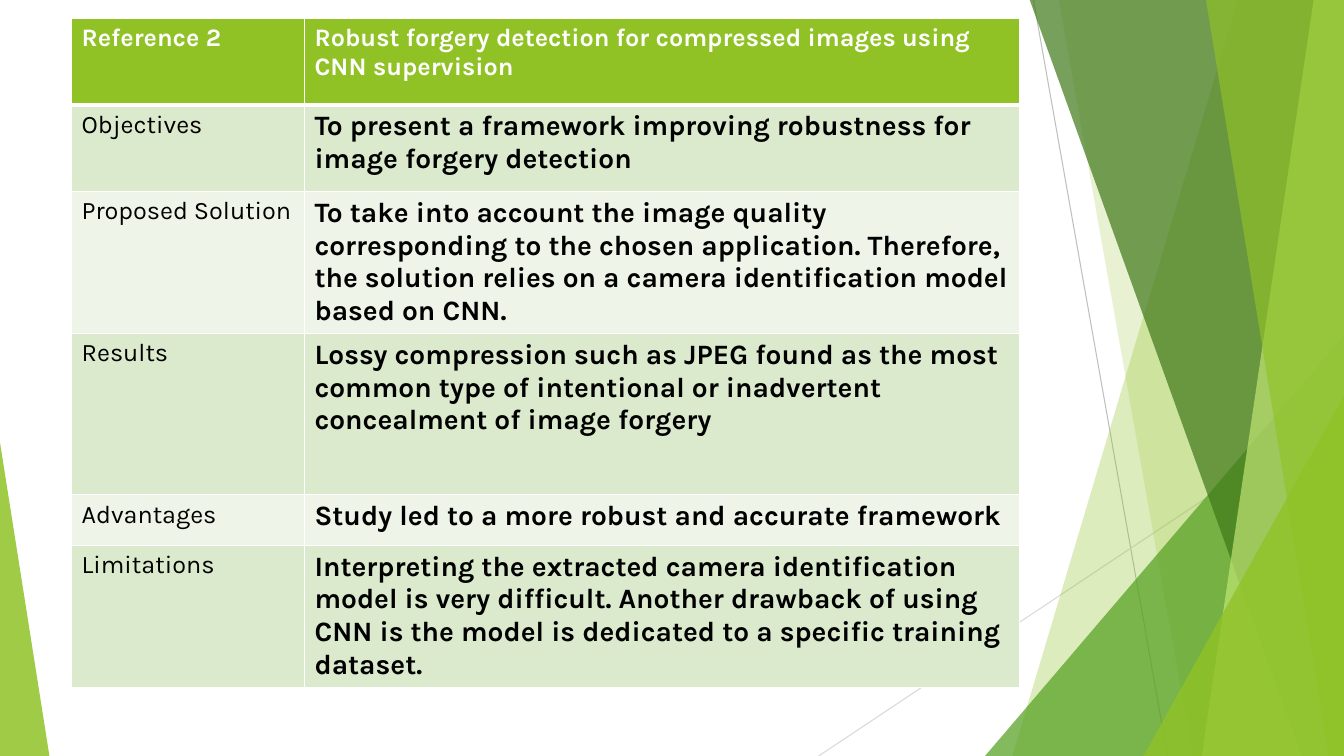
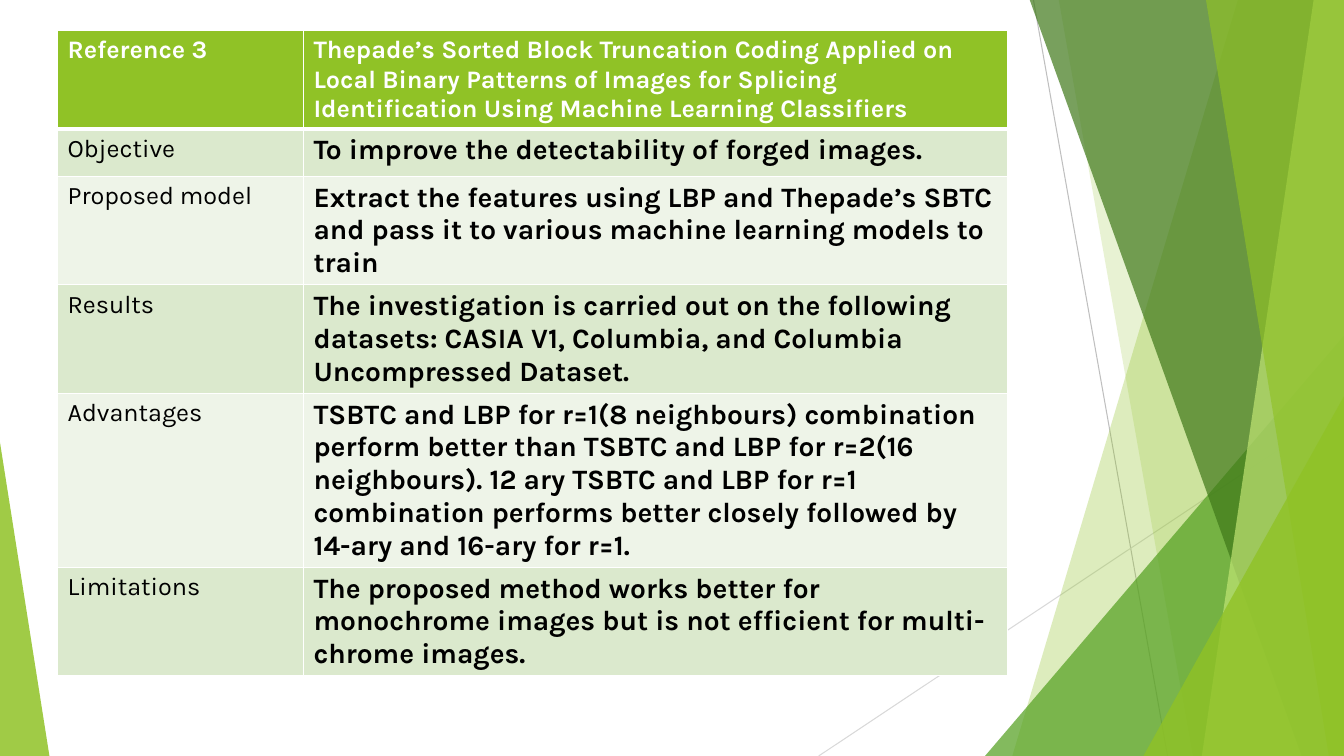
from lxml.etree import SubElement
from pptx import Presentation
from pptx.dml.color import RGBColor
from pptx.enum.shapes import MSO_CONNECTOR, MSO_SHAPE
from pptx.oxml.ns import qn
from pptx.util import Inches, Pt

# Theme shared by the slides
WIDE, HIGH = 13.33, 7.5
FONT = "Karla"
WHITE = RGBColor(0xFF, 0xFF, 0xFF)
BLACK = RGBColor(0x00, 0x00, 0x00)
GREEN = RGBColor(0x90, 0xC2, 0x26)
LEAF = RGBColor(0x54, 0xA0, 0x21)
DARK = RGBColor(0x3F, 0x78, 0x19)
LIME = RGBColor(0xC0, 0xE4, 0x74)
GREY = RGBColor(0xBF, 0xBF, 0xBF)
PALE = RGBColor(0xD9, 0xD9, 0xD9)
BANDS = (RGBColor(0xEE, 0xF4, 0xE8), RGBColor(0xDB, 0xE9, 0xCD))

# Table contents: first row is the header
ROBUST = [
    ("Reference 2", "Robust forgery detection for compressed images using CNN supervision"),
    ("Objectives", "To present a framework improving robustness for image forgery detection"),
    ("Proposed Solution",
     "To take into account the image quality corresponding to the chosen application. "
     "Therefore, the solution relies on a camera identification model based on CNN."),
    ("Results",
     "Lossy compression such as JPEG found as the most common type of intentional "
     "or inadvertent concealment of image forgery"),
    ("Advantages", "Study led to a more robust and accurate framework"),
    ("Limitations",
     "Interpreting the extracted camera identification model is very difficult. "
     "Another drawback of using CNN is the model is dedicated to a specific training dataset."),
]
SORTED = [
    ("Reference 3",
     "Thepade’s Sorted Block Truncation Coding Applied on Local Binary Patterns of "
     "Images for Splicing Identification Using Machine Learning Classifiers"),
    ("Objective", "To improve the detectability of forged images."),
    ("Proposed model",
     "Extract the features using LBP and Thepade’s SBTC and pass it to various "
     "machine learning models to train"),
    ("Results",
     "The investigation is carried out on the following datasets: CASIA V1, Columbia, "
     "and Columbia Uncompressed Dataset."),
    ("Advantages",
     "TSBTC and LBP for r=1(8 neighbours) combination perform better than TSBTC and LBP "
     "for r=2(16 neighbours). 12 ary TSBTC and LBP for r=1 combination performs better "
     "closely followed by 14-ary and 16-ary for r=1."),
    ("Limitations",
     "The proposed method works better for monochrome images but is not efficient "
     "for multi-chrome images."),
]


def paint(shape, color, alpha):
    """Flat, see-through fill with no outline; alpha in percent."""
    shape.shadow.inherit = False
    shape.line.fill.background()
    shape.fill.solid()
    shape.fill.fore_color.rgb = color
    tint = shape.fill._xPr.find(qn("a:solidFill"))[0]
    SubElement(tint, qn("a:alpha"), val=str(alpha * 1000))


def add_line(slide, start, end, color):
    ends = [Inches(n) for n in (*start, *end)]
    line = slide.shapes.add_connector(MSO_CONNECTOR.STRAIGHT, *ends)
    line.line.color.rgb = color
    line.line.width = Pt(0.75)
    SubElement(line._element.spPr, qn("a:effectLst"))


def add_band(slide, top, foot, color, alpha):
    """Slanted band from x = top to x = foot, filled to the right edge."""
    pen = slide.shapes.build_freeform(Inches(top), Inches(-0.01))
    points = [(WIDE, -0.01), (WIDE, HIGH), (foot, HIGH)]
    pen.add_line_segments([(Inches(x), Inches(y)) for x, y in points])
    paint(pen.convert_to_shape(), color, alpha)


def add_wedge(slide, left, top, width, peak, color, alpha):
    """Triangle on the bottom edge, with its peak at 0 (left) or 1 (right)."""
    wedge = slide.shapes.add_shape(
        MSO_SHAPE.ISOSCELES_TRIANGLE,
        Inches(left), Inches(top), Inches(width), Inches(HIGH - top))
    wedge.adjustments[0] = peak
    paint(wedge, color, alpha)


def add_decor(slide):
    add_line(slide, (10.25, 0), (11.58, HIGH), GREY)
    add_line(slide, (WIDE, 4.03), (8.12, HIGH), PALE)
    add_band(slide, 12.28, 10.04, GREEN, 30)
    add_band(slide, 10.5, 11.83, GREEN, 20)
    add_wedge(slide, 9.77, 3.33, 3.56, 1, LEAF, 72)
    add_band(slide, 10.21, 12.91, DARK, 70)
    add_band(slide, 13.03, 11.92, LIME, 70)
    add_band(slide, 11.96, 13.18, GREEN, 65)
    add_wedge(slide, 11.34, 3.93, 1.99, 1, GREEN, 80)
    add_wedge(slide, 0, 4.39, 0.49, 0, GREEN, 85)


def add_edges(cell, top, foot):
    """White cell borders; top and foot widths in points."""
    props = cell._tc.get_or_add_tcPr()
    for side, size in (("L", 1), ("R", 1), ("T", top), ("B", foot)):
        edge = SubElement(props, qn(f"a:ln{side}"), w=str(Pt(size)))
        fill = SubElement(edge, qn("a:solidFill"))
        SubElement(fill, qn("a:srgbClr"), val=str(WHITE))


def set_cell(cell, text, row, col):
    head = row == 0
    add_edges(cell, 3 if row == 1 else 1, 3 if head else 1)
    cell.fill.solid()
    cell.fill.fore_color.rgb = GREEN if head else BANDS[row % 2]
    cell.text_frame.text = text
    font = cell.text_frame.paragraphs[0].runs[0].font
    font.name = FONT
    font.size = Pt(20 if col and not head else 18)
    font.bold = bool(head or col)
    font.color.rgb = WHITE if head else BLACK


def add_grid(slide, left, top, cols, rows, texts):
    frame = slide.shapes.add_table(
        len(rows), len(cols), Inches(left), Inches(top),
        Inches(sum(cols)), Inches(sum(rows)))
    table = frame.table
    for col, width in zip(table.columns, cols):
        col.width = Inches(width)
    for i, pair in enumerate(texts):
        table.rows[i].height = Inches(rows[i])
        for j, text in enumerate(pair):
            set_cell(table.cell(i, j), text, i, j)


def add_page(deck, *grid):
    slide = deck.slides.add_slide(deck.slide_layouts[6])
    add_decor(slide)
    add_grid(slide, *grid)


def main():
    deck = Presentation()
    deck.slide_width, deck.slide_height = Inches(WIDE), Inches(HIGH)
    add_page(deck, 0.71, 0.18, (2.31, 7.09),
             (0.86, 0.86, 1.41, 1.6, 0.5, 1.41), ROBUST)
    add_page(deck, 0.57, 0.3, (2.44, 6.98),
             (0.95, 0.47, 1.05, 1.05, 1.68, 1.05), SORTED)
    deck.save("out.pptx")


if __name__ == "__main__":
    main()
